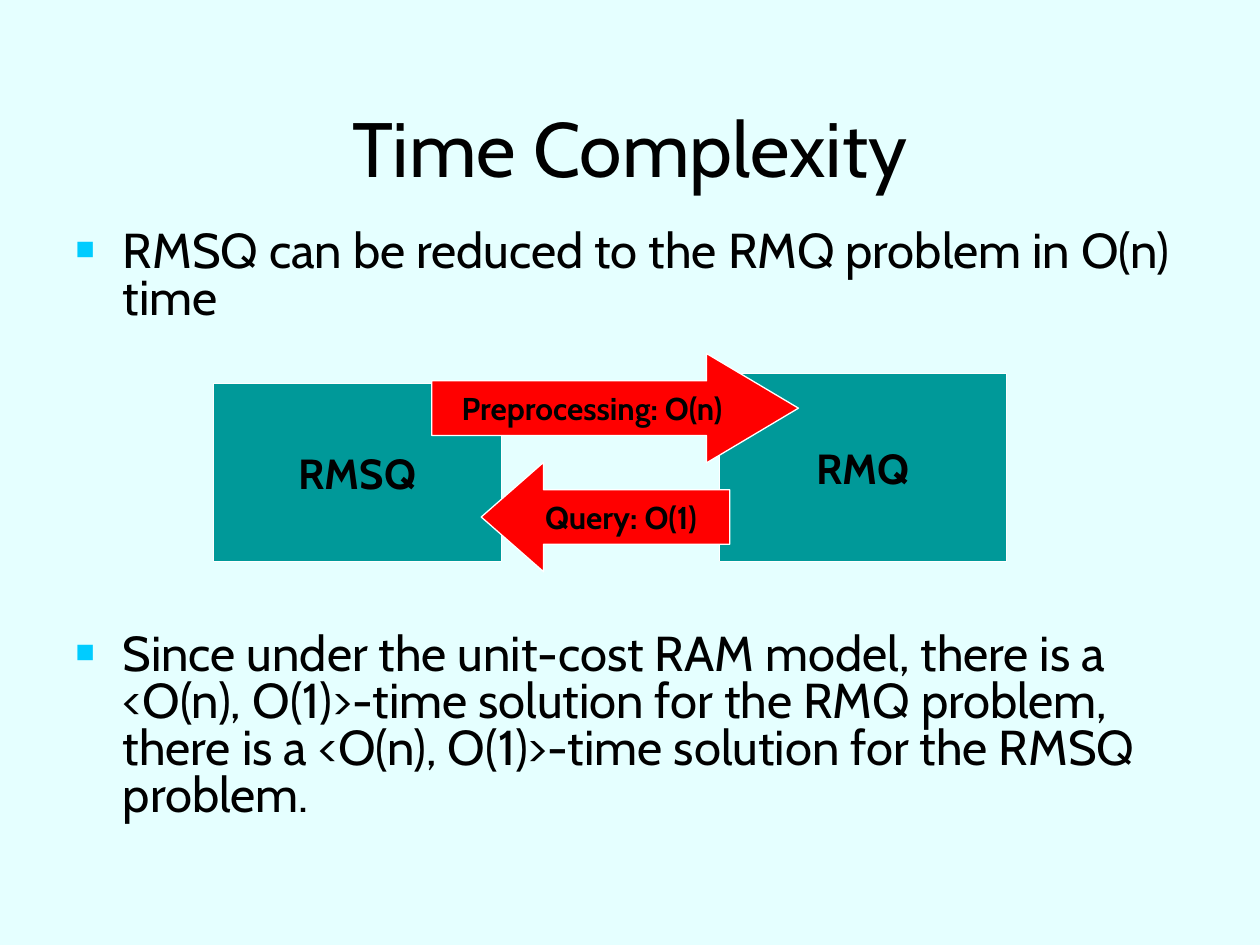
import pptx
import pptx.dml.color
import pptx.enum.shapes
import pptx.enum.text
import pptx.oxml
import pptx.oxml.ns
import pptx.util

Pt = pptx.util.Pt
SHAPE = pptx.enum.shapes.MSO_SHAPE
ANCHOR = pptx.enum.text.MSO_ANCHOR
CENTER = pptx.enum.text.PP_ALIGN.CENTER

BLACK, WHITE, TEAL, RED = "000000", "FFFFFF", "009999", "FF0000"
BACKGROUND, BULLET = "E5FFFF", "00CCFF"


def rgb(value):
    return pptx.dml.color.RGBColor.from_string(value)


def place(sp, left, top, width, height):
    sp.left, sp.top, sp.width, sp.height = map(Pt, (left, top, width, height))


def write(p, text, size, color=BLACK, bold=False, align=None):
    p.alignment = align
    r = p.add_run()
    r.text = text
    r.font.size = Pt(size)
    r.font.name = "Cabin"
    r.font.bold = bold
    r.font.color.rgb = rgb(color)


def set_bullet(p, indent):
    """Give the paragraph a small coloured square with a hanging indent."""
    pPr = p._p.get_or_add_pPr()
    pPr.set("marL", str(Pt(indent)))
    pPr.set("indent", str(-Pt(indent)))
    ns = pptx.oxml.ns.nsdecls("a")
    for xml in (
        f'<a:buClr {ns}><a:srgbClr val="{BULLET}"/></a:buClr>',
        f'<a:buSzPct {ns} val="65000"/>',
        f'<a:buFont {ns} typeface="Arial"/>',
        f'<a:buChar {ns} char="■"/>',
    ):
        pPr.append(pptx.oxml.parse_xml(xml))


def add_title(s, text):
    sp = s.shapes.title
    place(sp, 36, 30, 648, 108)
    tf = sp.text_frame
    tf.auto_size = pptx.enum.text.MSO_AUTO_SIZE.NONE
    tf.vertical_anchor = ANCHOR.MIDDLE
    write(tf.paragraphs[0], text, 44, align=CENTER)


def add_bullets(s, items):
    """Fill the body from (text, space before) pairs."""
    sp = s.placeholders[1]
    place(sp, 36, 128.2, 648, 374.4)
    tf = sp.text_frame
    tf.auto_size = pptx.enum.text.MSO_AUTO_SIZE.NONE
    for i, (text, space) in enumerate(items):
        p = tf.add_paragraph() if i else tf.paragraphs[0]
        set_bullet(p, 27)
        p.line_spacing = 0.8
        p.space_before = Pt(space)
        write(p, text, 28)


def add_block(s, kind, box, text, fill, size, head=None):
    """Draw a labelled shape; head is the length ratio of an arrowhead."""
    sp = s.shapes.add_shape(kind, *map(Pt, box))
    sp.shadow.inherit = False
    sp.fill.solid()
    sp.fill.fore_color.rgb = rgb(fill)
    sp.line.color.rgb = rgb(WHITE)
    sp.line.width = Pt(0.75)
    if head:
        sp.adjustments[0] = 0.5
        sp.adjustments[1] = head
    tf = sp.text_frame
    tf.word_wrap = head is not None
    tf.vertical_anchor = ANCHOR.MIDDLE
    write(tf.paragraphs[0], text, size, bold=True, align=CENTER)


def main():
    prs = pptx.Presentation()
    prs.slide_width, prs.slide_height = Pt(720), Pt(540)
    s = prs.slides.add_slide(prs.slide_layouts[1])
    s.background.fill.solid()
    s.background.fill.fore_color.rgb = rgb(BACKGROUND)

    add_title(s, "Time Complexity")
    add_bullets(s, [
        ("RMSQ can be reduced to the RMQ problem in O(n) time", 0),
        ("Since under the unit-cost RAM model, there is a <O(n), O(1)>-time "
         "solution for the RMQ problem, there is a <O(n), O(1)>-time solution "
         "for the RMSQ problem.", 176.6),
    ])
    add_block(s, SHAPE.RECTANGLE, (122, 219, 164.5, 102), "RMSQ", TEAL, 24)
    add_block(s, SHAPE.RECTANGLE, (411, 213.4, 164, 107.6), "RMQ", TEAL, 24)
    add_block(s, SHAPE.RIGHT_ARROW, (246.75, 202, 209.5, 62.5),
              "Preprocessing: O(n)", RED, 18, head=0.84)
    add_block(s, SHAPE.LEFT_ARROW, (275, 264.2, 142, 62.5),
              "Query: O(1)", RED, 18, head=0.57)
    prs.save("out.pptx")


if __name__ == "__main__":
    main()
